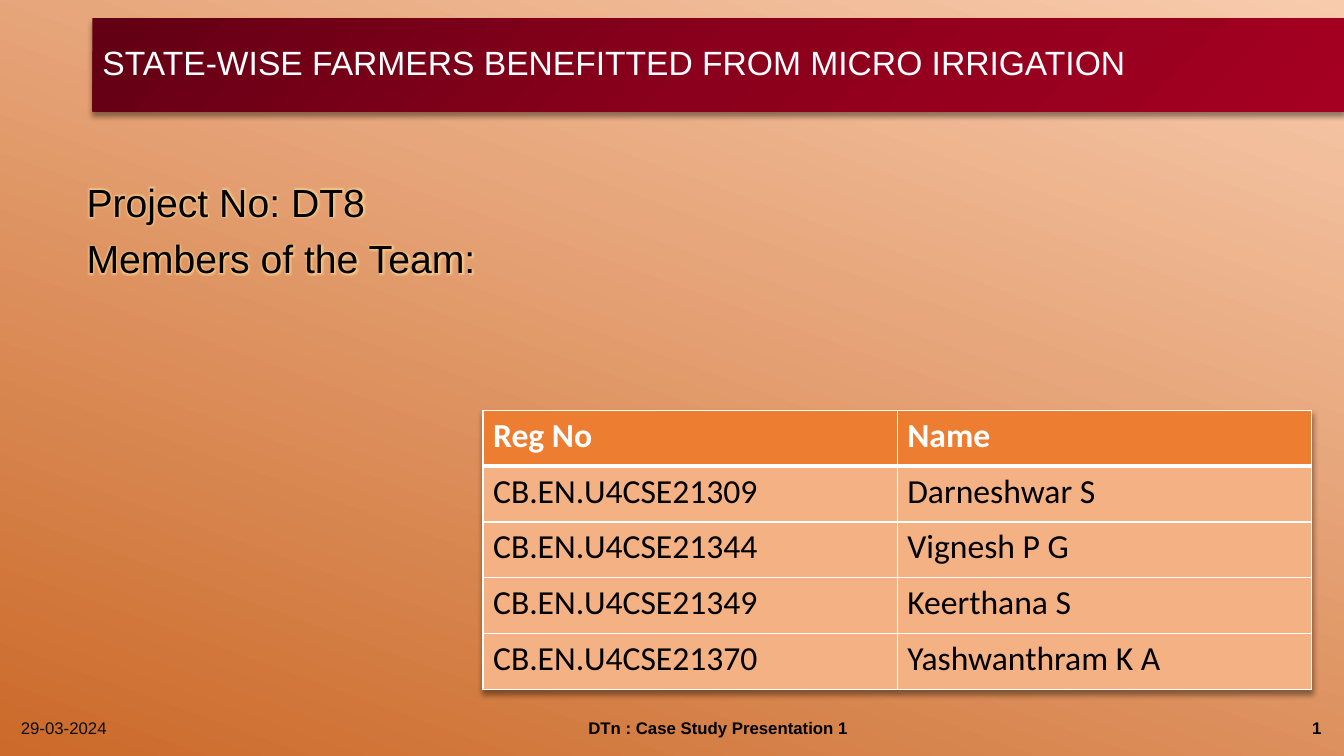
import pptx
import pptx.dml.color
import pptx.enum.text
import pptx.oxml
import pptx.oxml.ns
import pptx.util

COLORS = {
    "white": "FFFFFF", "black": "000000", "date": "0D0D0D", "glow": "FFE699",
    "header": "ED7D31", "row": "F4B183",
    "back_light": "F8CBAD", "back_dark": "CB6A2A",
    "band_dark": "620014", "band_mid": "8B001C", "band_light": "A50021",
}
COLUMNS, ROWS = 160, 90
ALIGN = pptx.enum.text.PP_ALIGN
MIDDLE = pptx.enum.text.MSO_ANCHOR.MIDDLE
Pt = pptx.util.Pt


def rgb(name):
    return pptx.dml.color.RGBColor.from_string(COLORS[name])


def xml(tag, attrs="", inner=""):
    """Build a DrawingML element from its tag, attributes and inner markup."""
    ns = pptx.oxml.ns.nsdecls("a")
    return pptx.oxml.parse_xml(f"<a:{tag} {ns} {attrs}>{inner}</a:{tag}>")


def color_xml(name, alpha=100):
    return f'<a:srgbClr val="{COLORS[name]}"><a:alpha val="{alpha * 1000}"/></a:srgbClr>'


def shadow():
    return xml("effectLst", inner=(
        f'<a:outerShdw blurRad="{Pt(4)}" dist="{Pt(3)}" dir="5400000" rotWithShape="0">'
        f'{color_xml("black", 40)}</a:outerShdw>'))


class SlideBuilder:
    """Places styled elements on a grid of 160 columns by 90 rows."""

    def __init__(self, prs):
        self.prs = prs
        self.s = prs.slides.add_slide(prs.slide_layouts[5])

    def box(self, col, row, cols, rows):
        x, y = self.prs.slide_width / COLUMNS, self.prs.slide_height / ROWS
        return [round(v) for v in (col * x, row * y, cols * x, rows * y)]

    def gradient(self, fill, element, stops, angle):
        """Apply (percent, colour) stops at a clockwise angle."""
        fill.gradient()
        fill.gradient_angle = 360 - angle
        gs_list = element.find(".//" + pptx.oxml.ns.qn("a:gsLst"))
        gs_list.clear()
        for percent, name in stops:
            gs_list.append(xml("gs", f'pos="{percent * 1000}"', color_xml(name)))

    def background(self, stops, angle):
        self.gradient(self.s.background.fill, self.s.element, stops, angle)

    def set_lines(self, tf, lines, color, paragraph=None, **font):
        """Fill a text frame with one paragraph per line."""
        for i, line in enumerate(lines):
            p = tf.paragraphs[0] if i == 0 else tf.add_paragraph()
            for key, value in (paragraph or {}).items():
                setattr(p, key, value)
            r = p.add_run()
            r.text = line
            for key, value in font.items():
                setattr(r.font, key, value)
            r.font.color.rgb = rgb(color)

    def title(self, text, cell, stops, angle):
        sp = self.s.shapes.title
        sp.left, sp.top, sp.width, sp.height = self.box(*cell)
        self.gradient(sp.fill, sp.element, stops, angle)
        sp.line.fill.background()
        sp.element.spPr.append(shadow())
        tf = sp.text_frame
        tf.word_wrap = True
        tf.auto_size = pptx.enum.text.MSO_AUTO_SIZE.NONE
        tf.vertical_anchor = MIDDLE
        self.set_lines(tf, [text], "white", {"alignment": ALIGN.LEFT, "line_spacing": 0.9},
                       name="Arial", size=Pt(24))

    def text(self, lines, cell, color="black", anchor=MIDDLE, paragraph=None, **font):
        tf = self.s.shapes.add_textbox(*self.box(*cell)).text_frame
        tf.word_wrap = True
        tf.vertical_anchor = anchor
        self.set_lines(tf, lines, color, paragraph, name="Arial", **font)
        return tf

    def glowing_text(self, lines, cell, indent, size):
        tf = self.text(lines, cell, anchor=pptx.enum.text.MSO_ANCHOR.TOP, size=Pt(size),
                       paragraph={"line_spacing": 0.9, "space_before": Pt(10)})
        for p in tf.paragraphs:
            pPr = p._p.get_or_add_pPr()
            pPr.set("marL", str(pptx.util.Inches(indent)))
            pPr.set("indent", "0")
            glow = f'<a:glow rad="{Pt(4)}">{color_xml("glow", 60)}</a:glow>'
            fill = p._p.find(".//" + pptx.oxml.ns.qn("a:solidFill"))
            fill.addnext(xml("effectLst", inner=glow))

    def borders(self, cell, widths):
        """Draw white left, right, top and bottom borders of given widths."""
        tcPr = cell._tc.get_or_add_tcPr()
        for i, (side, width) in enumerate(zip("LRTB", widths)):
            line = f'<a:solidFill>{color_xml("white")}</a:solidFill>'
            tcPr.insert(i, xml(f"ln{side}", f'w="{Pt(width)}"', line))

    def table(self, records, cell):
        frame = self.s.shapes.add_table(len(records), len(records[0]), *self.box(*cell))
        frame.table._tbl.tblPr.insert(0, shadow())
        for i, record in enumerate(records):
            header = i == 0
            for j, value in enumerate(record):
                c = frame.table.cell(i, j)
                c.fill.solid()
                c.fill.fore_color.rgb = rgb("header" if header else "row")
                self.borders(c, (1, 1, 3 if i == 1 else 1, 3 if header else 1))
                self.set_lines(c.text_frame, [value], "white" if header else "black",
                               name="Calibri", size=Pt(24), bold=header)


def main():
    prs = pptx.Presentation()
    prs.slide_width = pptx.util.Inches(13.33)
    prs.slide_height = pptx.util.Inches(7.5)
    b = SlideBuilder(prs)

    b.background([(0, "back_light"), (100, "back_dark")], 110)
    b.title("STATE-WISE FARMERS BENEFITTED FROM MICRO IRRIGATION", (11, 2.16, 149, 11.1),
            [(0, "band_dark"), (50, "band_mid"), (100, "band_light")], 45)
    b.glowing_text(["Project No: DT8", "Members of the Team:"],
                   (-5.64, 21.24, 142.3, 66.6), indent=1.23, size=28)

    footers = [
        ("29-03-2024", 1.3, 36, ALIGN.LEFT, "date", False),
        ("1", 122.5, 36, ALIGN.RIGHT, "black", True),
        ("DTn : Case Study Presentation 1", 53.9, 63.2, ALIGN.CENTER, "black", True),
    ]
    for text, col, cols, align, color, bold in footers:
        b.text([text], (col, 84.24, cols, 4.8), color,
               paragraph={"alignment": align}, size=Pt(12), bold=bold)

    b.table([
        ("Reg No", "Name"),
        ("CB.EN.U4CSE21309", "Darneshwar S"),
        ("CB.EN.U4CSE21344", "Vignesh P G"),
        ("CB.EN.U4CSE21349", "Keerthana S"),
        ("CB.EN.U4CSE21370", "Yashwanthram K A"),
    ], (57.5, 48.84, 98.64, 33.24))

    prs.save("out.pptx")


if __name__ == "__main__":
    main()
